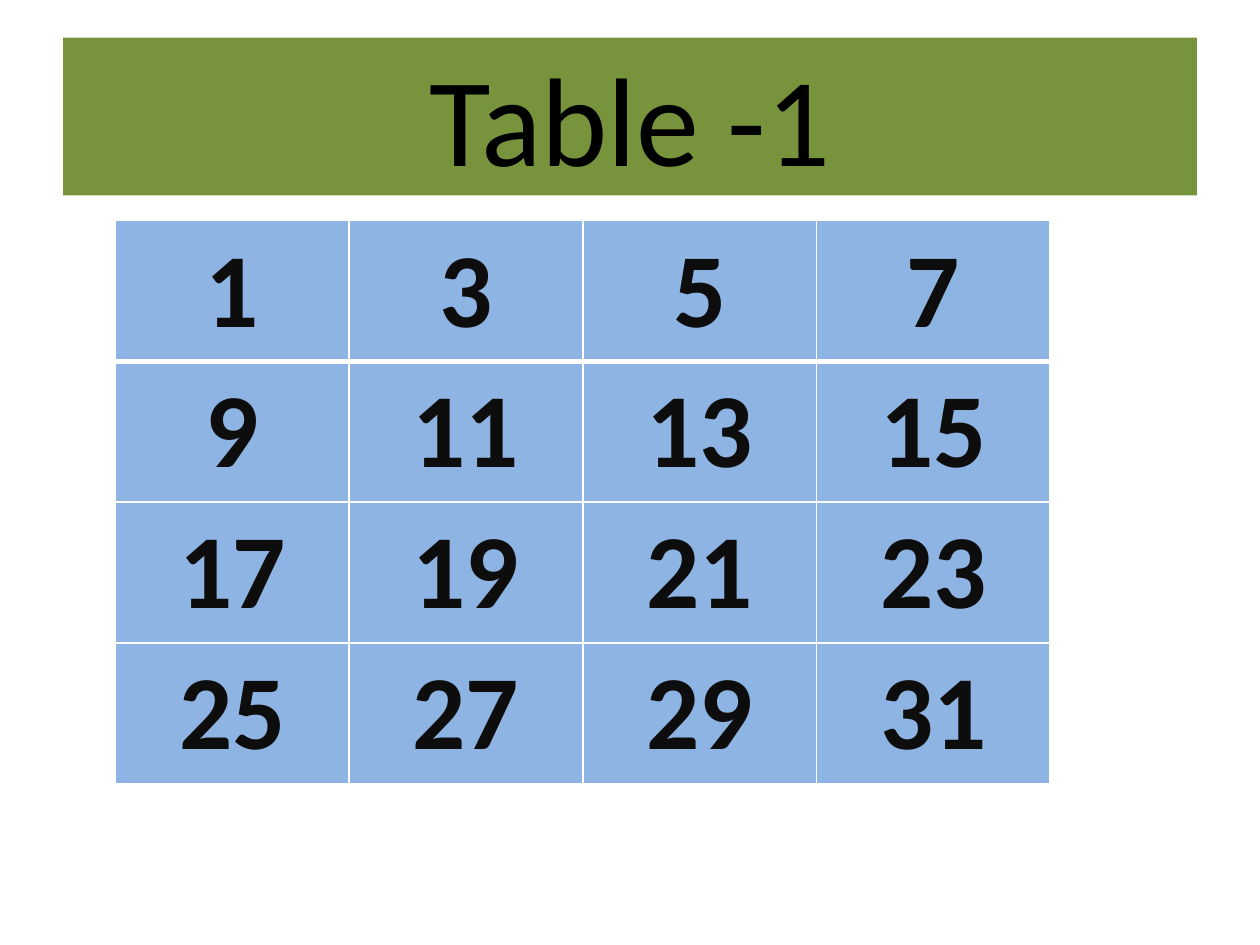
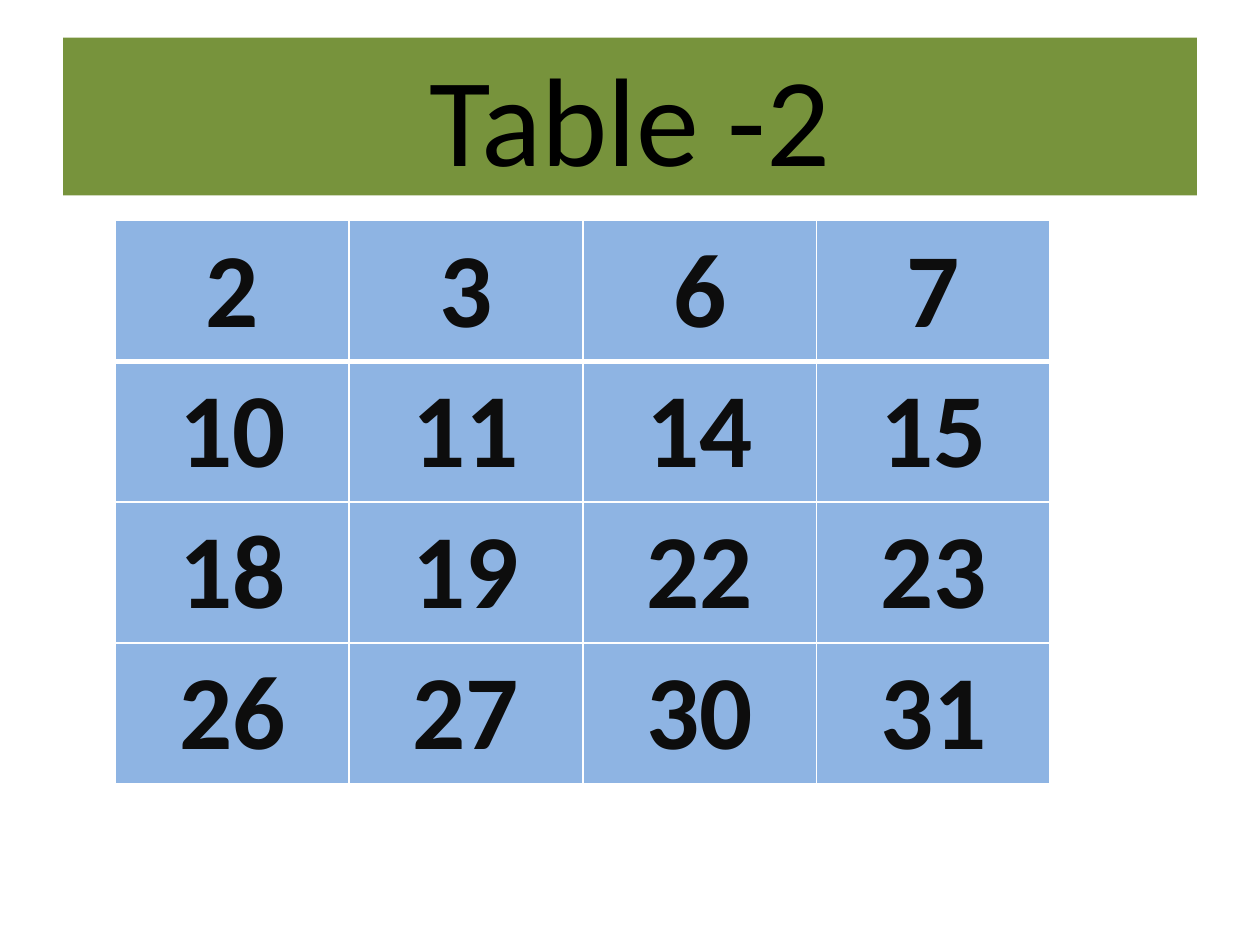
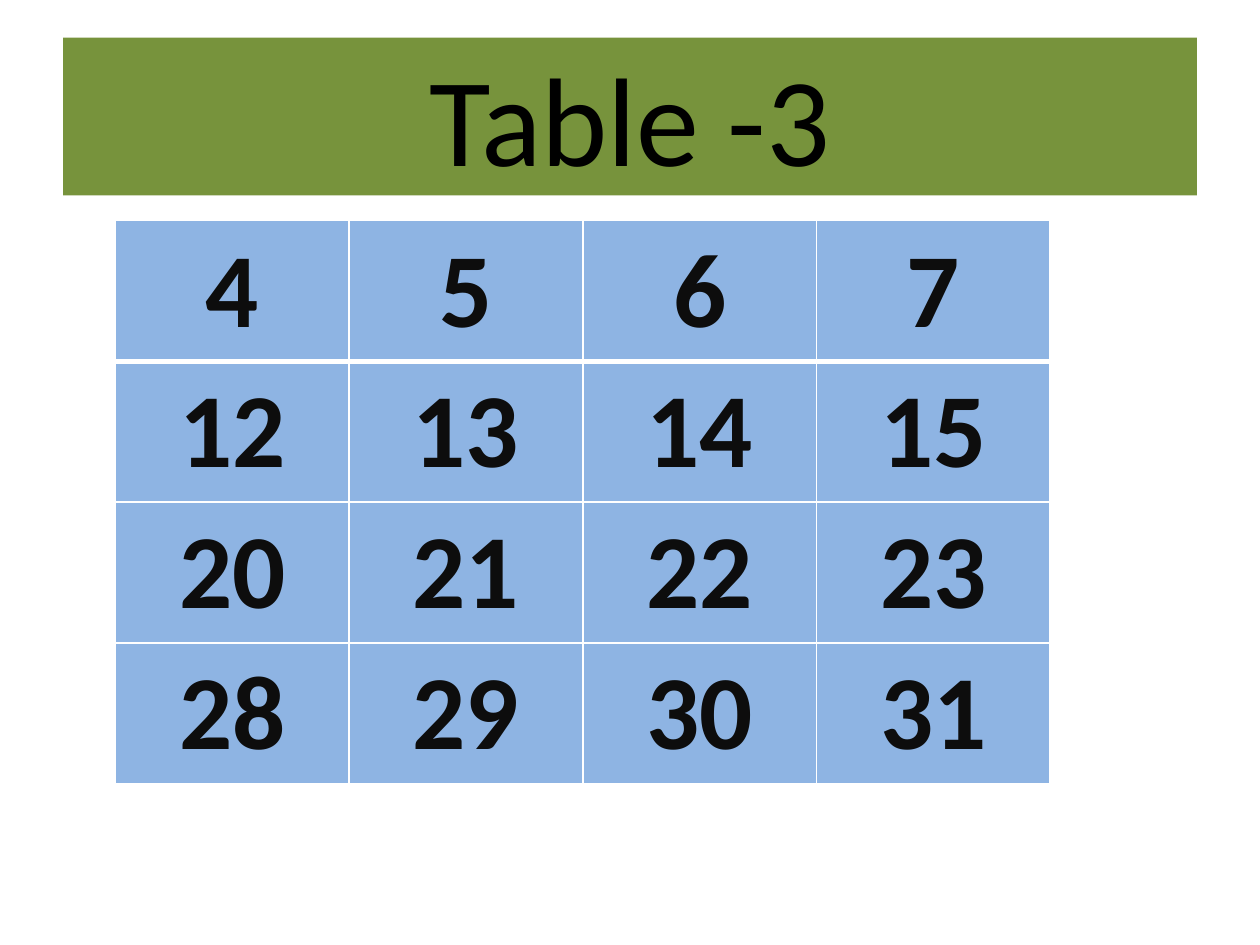
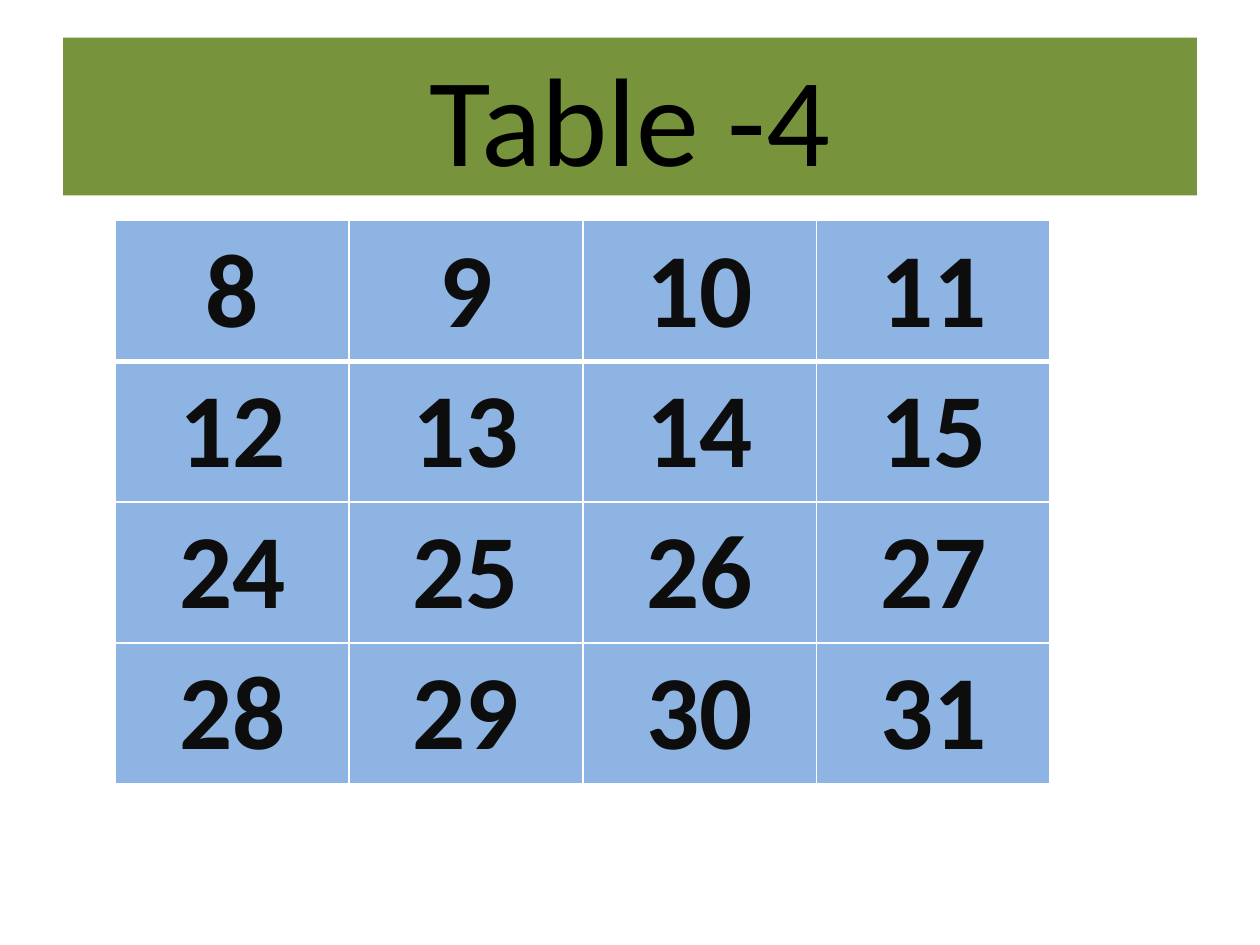
from dataclasses import dataclass
from lxml import etree
from pptx import Presentation
from pptx.dml.color import RGBColor
from pptx.enum.text import MSO_ANCHOR, MSO_AUTO_SIZE, PP_ALIGN
from pptx.oxml.ns import qn
from pptx.util import Cm, Pt

CENTER = PP_ALIGN.CENTER
MIDDLE = MSO_ANCHOR.MIDDLE
FIXED = MSO_AUTO_SIZE.NONE
TITLE_ONLY = 5
SIDE = 4


@dataclass(frozen=True)
class Theme:
    """Colours, font and type sizes of the deck."""
    font: str = "Calibri"
    band: str = "77933C"
    cell: str = "8EB4E3"
    rule: str = "FFFFFF"
    title: str = "000000"
    ink: str = "0D0D0D"
    head: int = 72
    digit: int = 60
    thin: int = 1
    thick: int = 3


THEME = Theme()


def write(frame, text, size, color, bold=False, align=CENTER):
    """Put one formatted paragraph in a text frame."""
    para = frame.paragraphs[0]
    para.alignment = align
    run = para.add_run()
    run.text = text
    run.font.name = THEME.font
    run.font.size = Pt(size)
    run.font.bold = bold
    run.font.color.rgb = RGBColor.from_string(color)


def paint(fill, color):
    """Give a shape or cell a solid fill."""
    fill.solid()
    fill.fore_color.rgb = RGBColor.from_string(color)


def edge(cell, top, base):
    """Draw the four borders of a cell, with top and base widths in points."""
    props = cell._tc.get_or_add_tcPr()
    widths = {"lnL": THEME.thin, "lnR": THEME.thin, "lnT": top, "lnB": base}
    for tag, width in widths.items():
        line = etree.SubElement(props, qn("a:" + tag), w=str(Pt(width)))
        fill = etree.SubElement(line, qn("a:solidFill"))
        etree.SubElement(fill, qn("a:srgbClr"), val=THEME.rule)


def banner(slide, text, box):
    """Place the title on its green band."""
    title = slide.shapes.title
    title.left, title.top, title.width, title.height = box
    paint(title.fill, THEME.band)
    frame = title.text_frame
    frame.auto_size = FIXED
    frame.vertical_anchor = MIDDLE
    write(frame, text, THEME.head, THEME.title)


def grid(slide, nums, box, tall):
    """Fill a square table with numbers, row by row."""
    shape = slide.shapes.add_table(SIDE, SIDE, *box)
    table = shape.table
    table.horz_banding = False
    for row in table.rows:
        row.height = tall
    shape.height = box[3]
    for spot, num in enumerate(nums):
        row, col = divmod(spot, SIDE)
        cell = table.cell(row, col)
        edge(cell, THEME.thick if row == 1 else THEME.thin,
             THEME.thick if row == 0 else THEME.thin)
        paint(cell.fill, THEME.cell)
        write(cell.text_frame, str(num), THEME.digit, THEME.ink, bold=True)


def card(deck, index):
    """Add a slide with the numbers below 32 that hold the card's binary digit."""
    slide = deck.slides.add_slide(deck.slide_layouts[TITLE_ONLY])
    banner(slide, f"Table -{index + 1}",
           (Cm(1.27), Cm(0.76), Cm(22.86), Cm(3.18)))
    nums = [num for num in range(2 * SIDE ** 2) if num & 2 ** index]
    grid(slide, nums, (Cm(2.33), Cm(4.45), Cm(18.84), Cm(11.18)), Cm(2.59))


def main():
    """Build and save the deck."""
    deck = Presentation()
    deck.slide_width, deck.slide_height = Cm(25.4), Cm(19.05)
    for index in range(4):
        card(deck, index)
    deck.save("out.pptx")


main()
